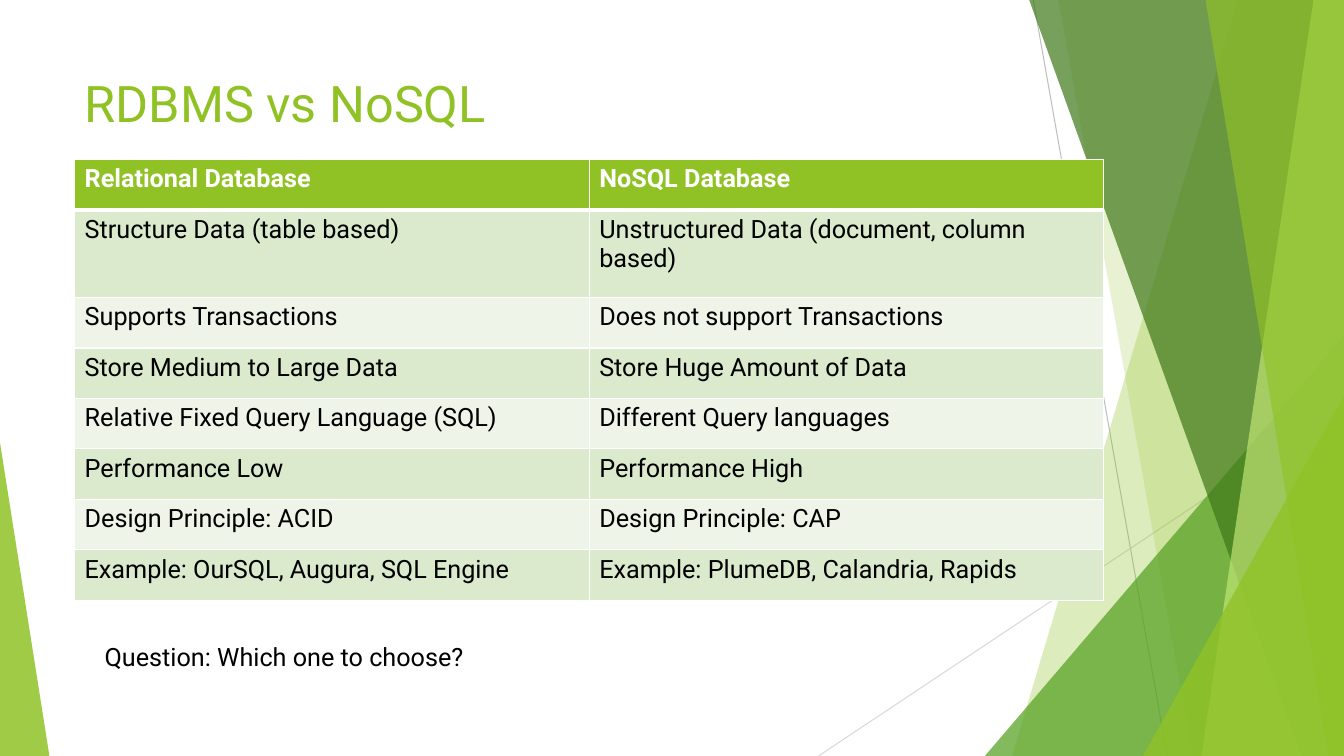
from lxml.etree import SubElement as Sub
from pptx import Presentation
from pptx.dml.color import RGBColor
from pptx.enum.shapes import MSO_CONNECTOR as Link, MSO_SHAPE as Form
from pptx.oxml.ns import qn
from pptx.util import Inches, Pt

# Content
TITLE = "RDBMS vs NoSQL"
ASK = "Question: Which one to choose?"
ROWS = [
    ("Relational Database", "NoSQL Database"),
    ("Structure Data (table based)", "Unstructured Data (document, column based)"),
    ("Supports Transactions", "Does not support Transactions"),
    ("Store Medium to Large Data", "Store Huge Amount of Data"),
    ("Relative Fixed Query Language (SQL)", "Different Query languages"),
    ("Performance Low", "Performance High"),
    ("Design Principle: ACID", "Design Principle: CAP"),
    ("Example: OurSQL, Augura, SQL Engine", "Example: PlumeDB, Calandria, Rapids"),
]
FONT, LIME, WHITE, BLACK = "Roboto", "90C226", "FFFFFF", "000000"
STRIPES = ("EEF4E8", "DBE9CD")

# Places, in percent of the slide's width and height
TITLE_BOX = (5.55, 8.93, 70.5, 12.13)
GRID_BOX = (5.55, 21.07, 76.58)
ROW, TALL = 6.68, 11.6
ASK_BOX = (7.05, 84.13, 28.43, 5.33)
LINES = [  # from x, y, to x, y, colour
    (76.88, 0, 86.85, 100, "BFBFBF"),
    (100, 53.73, 60.9, 100, "D9D9D9"),
]
# Bands reach the right edge: left x at top, left x at bottom, colour, opacity
# Wedges stand on the bottom: left, top, width, apex, colour, opacity
DECOR = [
    (92.1, 75.3, LIME, 30),
    (78.75, 88.73, LIME, 20),
    (73.28, 44.4, 26.72, 1, "54A021", 72),
    (76.58, 96.83, "3F7819", 70),
    (97.73, 89.4, "C0E474", 70),
    (89.7, 98.85, LIME, 65),
    (85.05, 52.4, 14.95, 1, LIME, 80),
    (0, 58.53, 3.68, 0, LIME, 85),
]

deck = Presentation()
deck.slide_width, deck.slide_height = Inches(13.33), Inches(7.5)
slide = deck.slides.add_slide(deck.slide_layouts[6])
shapes = slide.shapes


def px(share):
    return round(deck.slide_width * share / 100)


def py(share):
    return round(deck.slide_height * share / 100)


def tint(code):
    return RGBColor.from_string(code)


def paint(shape, code, alpha):
    shape.shadow.inherit = False
    shape.line.fill.background()
    shape.fill.solid()
    shape.fill.fore_color.rgb = tint(code)
    color = shape.fill._xPr.find(".//" + qn("a:srgbClr"))
    Sub(color, qn("a:alpha"), val=str(alpha * 1000))


def write(frame, text, size, code, bold=False):
    para = frame.paragraphs[0]
    para.text = text
    para.font.name, para.font.size = FONT, Pt(size)
    para.font.bold, para.font.color.rgb = bold, tint(code)


def label(box, text, size, code, wrap):
    x, y, w, h = box
    frame = shapes.add_textbox(px(x), py(y), px(w), py(h)).text_frame
    frame.word_wrap = wrap
    write(frame, text, size, code)


def edge(cell, side, width):
    props = cell._tc.get_or_add_tcPr()
    line = Sub(props, qn("a:ln" + side), w=str(Pt(width)))
    Sub(Sub(line, qn("a:solidFill")), qn("a:srgbClr"), val=WHITE)


# Thin lines behind the bands
for x1, y1, x2, y2, code in LINES:
    line = shapes.add_connector(Link.STRAIGHT, px(x1), py(y1), px(x2), py(y2))
    line.line.color.rgb, line.line.width = tint(code), Pt(0.75)
    Sub(line._element.spPr, qn("a:effectLst"))

# Green bands and wedges
for *place, code, alpha in DECOR:
    if len(place) == 2:
        top, base = place
        pen = shapes.build_freeform(px(top), 0)
        pen.add_line_segments([(px(100), 0), (px(100), py(100)), (px(base), py(100))])
        part = pen.convert_to_shape()
    else:
        x, y, w, apex = place
        part = shapes.add_shape(Form.ISOSCELES_TRIANGLE, px(x), py(y), px(w), py(100 - y))
        part.adjustments[0] = apex
    paint(part, code, alpha)

label(TITLE_BOX, TITLE, 36, LIME, True)

# Comparison table
x, y, w = GRID_BOX
highs = [TALL if r == 1 else ROW for r in range(len(ROWS))]
table = shapes.add_table(len(ROWS), 2, px(x), py(y), px(w), py(sum(highs))).table
for r, texts in enumerate(ROWS):
    table.rows[r].height = py(highs[r])
    head = r == 0
    for c, text in enumerate(texts):
        cell = table.cell(r, c)
        for side in "LRTB":
            thick = (head and side == "B") or (r == 1 and side == "T")
            edge(cell, side, 3 if thick else 1)
        cell.fill.solid()
        cell.fill.fore_color.rgb = tint(LIME if head else STRIPES[r % 2])
        write(cell.text_frame, text, 18, WHITE if head else BLACK, head)

label(ASK_BOX, ASK, 18, BLACK, False)

deck.save("out.pptx")
